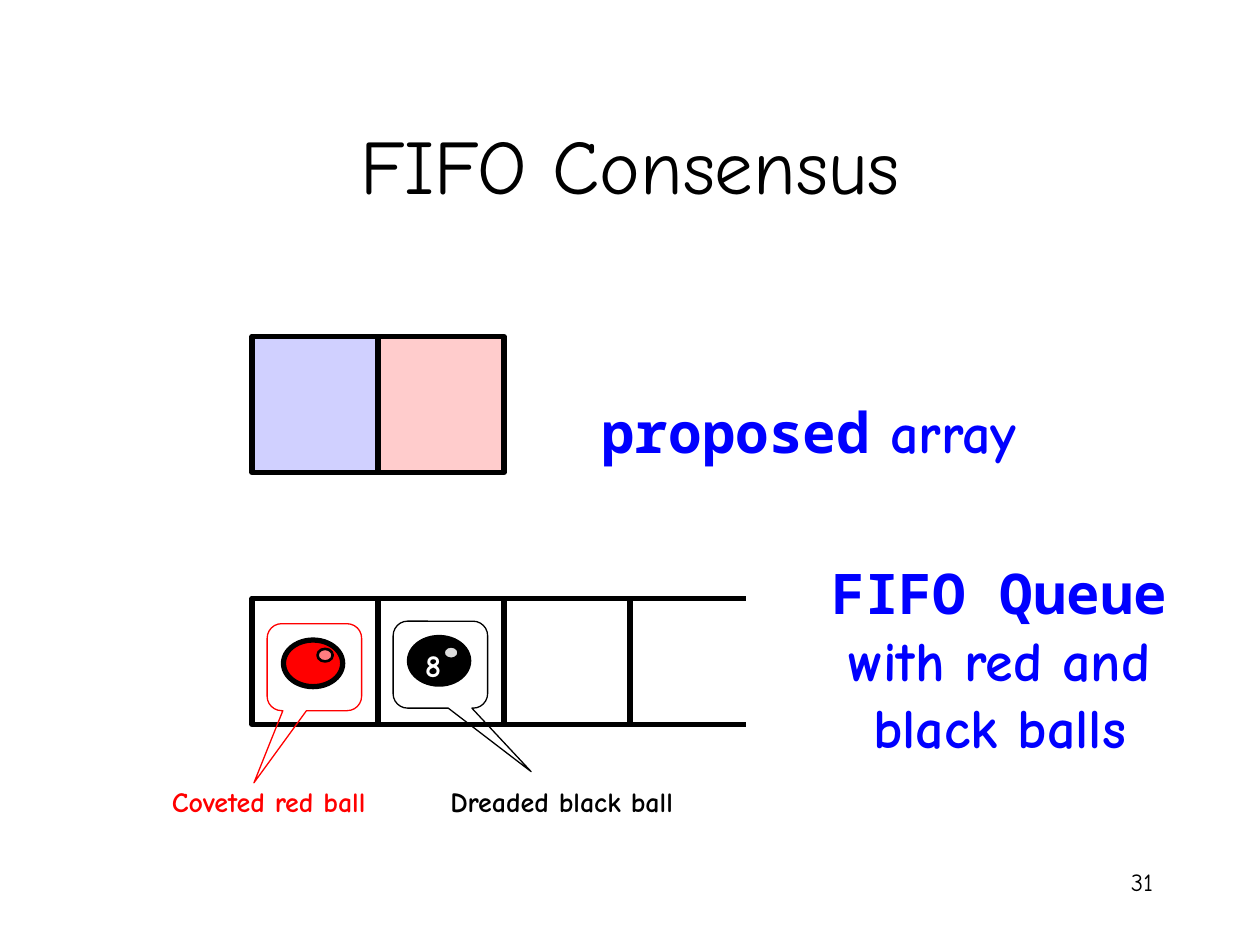
from lxml import etree
from pptx import Presentation
from pptx.dml.color import RGBColor
from pptx.enum.shapes import MSO_CONNECTOR, MSO_SHAPE
from pptx.enum.text import MSO_ANCHOR, PP_ALIGN
from pptx.oxml.ns import qn
from pptx.util import Inches, Pt

BLACK = RGBColor(0x00, 0x00, 0x00)
WHITE = RGBColor(0xFF, 0xFF, 0xFF)
RED = RGBColor(0xFF, 0x00, 0x00)
BLUE = RGBColor(0x00, 0x00, 0xFF)
PERIWINKLE = RGBColor(0x66, 0x66, 0xFF)
PINK = RGBColor(0xFF, 0x7C, 0x80)
SILVER = RGBColor(0xDD, 0xDD, 0xDD)

HAND = "Comic Neue"
MONO = "Noto Sans Mono"
CENTER, RIGHT = PP_ALIGN.CENTER, PP_ALIGN.RIGHT
TOP, MIDDLE, BOTTOM = MSO_ANCHOR.TOP, MSO_ANCHOR.MIDDLE, MSO_ANCHOR.BOTTOM
RECTANGLE, OVAL = MSO_SHAPE.RECTANGLE, MSO_SHAPE.OVAL
CALLOUT = MSO_SHAPE.ROUNDED_RECTANGULAR_CALLOUT
STRAIGHT = MSO_CONNECTOR.STRAIGHT

COLUMNS, ROWS = 10, 7.5
ARRAY_ROW, QUEUE_ROW, LABEL_ROW = 2.67, 4.75, 6.18
FIRST_COLUMN = 2


class SlideBuilder:
    """Draw styled elements on a slide measured in one-inch columns and rows."""

    def __init__(self, deck):
        deck.slide_width, deck.slide_height = Inches(COLUMNS), Inches(ROWS)
        self.slide = deck.slides.add_slide(deck.slide_layouts[6])

    def shape(self, kind, place, fill=None, line=BLACK, weight=3, opacity=None):
        shape = self.slide.shapes.add_shape(kind, *map(Inches, place))
        shape.shadow.inherit = False
        shape.line.color.rgb = line
        shape.line.width = Pt(weight)
        if fill is None:
            shape.fill.background()
        else:
            shape.fill.solid()
            shape.fill.fore_color.rgb = fill
        if opacity is not None:
            color = shape.fill._xPr.find(qn("a:solidFill"))[0]
            etree.SubElement(color, qn("a:alpha"), val=str(opacity * 1000))
        return shape

    def text(self, place, spans, size, color, align=CENTER, anchor=TOP,
             bold=True, wrap=False):
        box = self.slide.shapes.add_textbox(*map(Inches, place))
        frame = box.text_frame
        frame.word_wrap = wrap
        frame.vertical_anchor = anchor
        para = frame.paragraphs[0]
        para.alignment = align
        for words, font in spans:
            span = para.add_run()
            span.text = words
            span.font.name = font
            span.font.size = Pt(size)
            span.font.bold = bold
            span.font.color.rgb = color

    def line(self, start, end):
        line = self.slide.shapes.add_connector(
            STRAIGHT, *map(Inches, (*start, *end)))
        line.line.color.rgb = BLACK
        line.line.width = Pt(3)
        etree.SubElement(line._element.spPr, qn("a:effectLst"))

    def ball(self, column, row, fill, shine):
        self.shape(OVAL, (column, row, 0.47, 0.37), fill)
        self.shape(OVAL, (column + 0.27, row + 0.07, 0.12, 0.1), shine,
                   weight=1.5)

    def callout(self, column, row, tip, color):
        bubble = self.shape(CALLOUT, (column, row, 0.75, 0.69), line=color,
                            weight=0.75)
        for index, value in enumerate((*tip, 0.167)):
            bubble.adjustments[index] = value


def main():
    deck = Presentation()
    page = SlideBuilder(deck)

    page.text((7.17, 6.83, 2.08, 0.5), [("31", HAND)], 14, BLACK, RIGHT,
              bold=False)
    page.text((0.75, 0.67, 8.5, 1.25), [("FIFO Consensus", HAND)], 44, BLACK,
              anchor=MIDDLE, bold=False, wrap=True)

    for index, (fill, opacity) in enumerate([(PERIWINKLE, 30), (RED, 20)]):
        page.shape(RECTANGLE, (FIRST_COLUMN + index, ARRAY_ROW, 1, 1.08), fill,
                   opacity=opacity)
    page.text((4.57, 3.1, 3.7, 0.64), [("proposed", MONO), (" array", HAND)],
              32, BLUE, anchor=BOTTOM)

    for index in range(3):
        page.shape(RECTANGLE, (FIRST_COLUMN + index, QUEUE_ROW, 1, 1))
    for row in (QUEUE_ROW, QUEUE_ROW + 1):
        page.line((4.92, row), (5.92, row))
    page.text((6.17, 4.38, 3.53, 1.7),
              [("FIFO Queue", MONO), (" with red and black balls", HAND)],
              32, BLUE, wrap=True)

    page.ball(2.25, 5.08, RED, PINK)
    page.ball(3.25, 5.06, BLACK, SILVER)
    page.text((3.25, 5.08, 0.35, 0.4), [("8", HAND)], 18, WHITE, RIGHT)

    page.text((1.02, LABEL_ROW, 1.98, 0.37), [("Coveted red ball", HAND)],
              16, RED, RIGHT)
    page.text((3.22, LABEL_ROW, 2.22, 0.37), [("Dreaded black ball", HAND)],
              16, BLACK, RIGHT)
    page.callout(2.12, 4.95, (-0.64, 1.33), RED)
    page.callout(3.12, 4.93, (0.96, 1.23), BLACK)

    deck.save("out.pptx")


if __name__ == "__main__":
    main()
